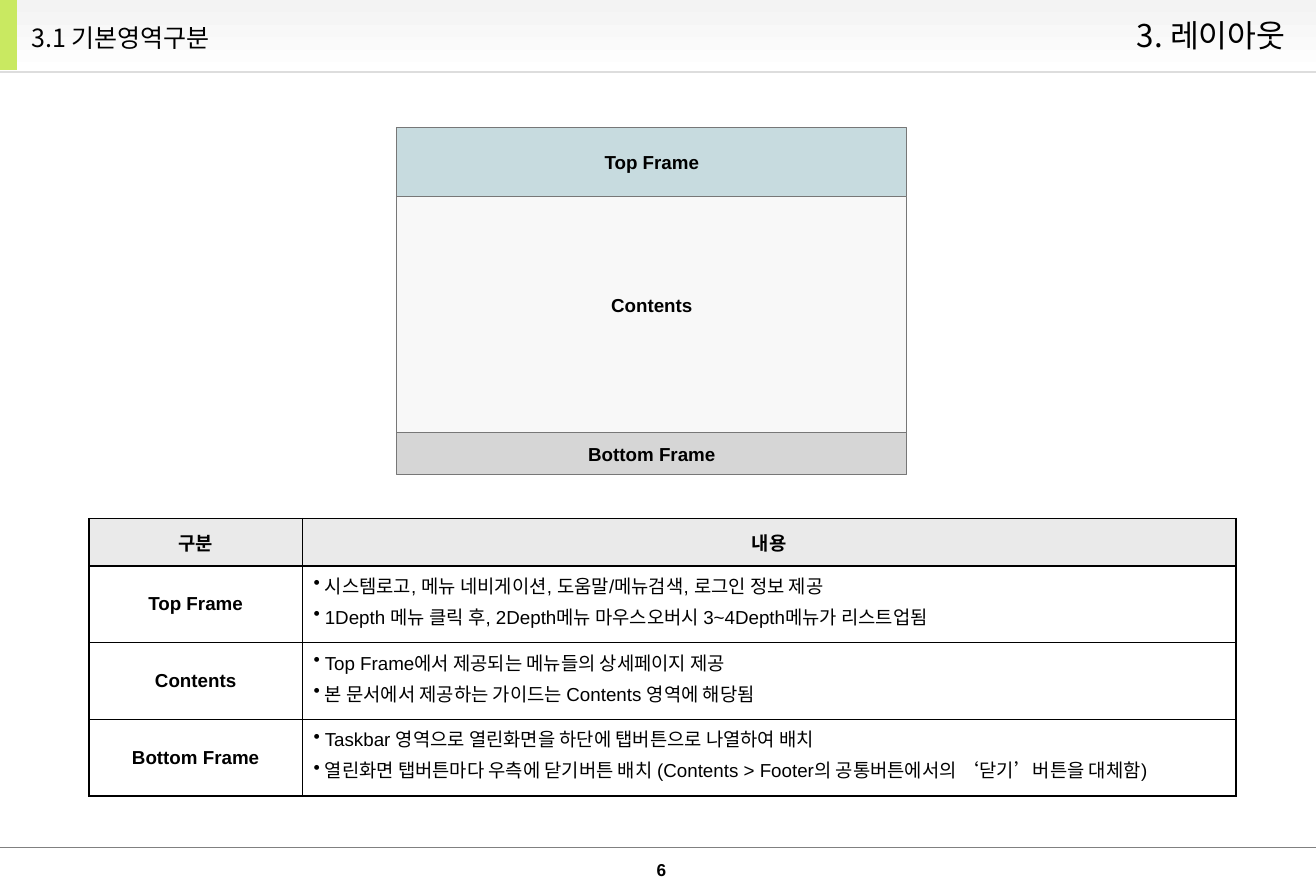
import pptx
import pptx.dml.color
import pptx.enum.shapes
import pptx.enum.text
import pptx.oxml
import pptx.oxml.ns
import pptx.util
from lxml import etree

Pt = pptx.util.Pt
Inches = pptx.util.Inches
RGBColor = pptx.dml.color.RGBColor
ALIGN = pptx.enum.text.PP_ALIGN
ANCHOR = pptx.enum.text.MSO_ANCHOR
RECTANGLE = pptx.enum.shapes.MSO_SHAPE.RECTANGLE
STRAIGHT = pptx.enum.shapes.MSO_CONNECTOR.STRAIGHT
qn = pptx.oxml.ns.qn

BLACK = RGBColor(0x00, 0x00, 0x00)
WHITE = RGBColor(0xFF, 0xFF, 0xFF)
HEADER_GRAY = RGBColor(0xF3, 0xF3, 0xF3)
RULE_GRAY = RGBColor(0xDD, 0xDD, 0xDD)
FOOTER_GRAY = RGBColor(0x80, 0x80, 0x80)
LIME = RGBColor(0xC9, 0xE9, 0x61)
FRAME_LINE = RGBColor(0x77, 0x77, 0x77)
TOP_BLUE = RGBColor(0x9D, 0xC0, 0xC7)
CONTENTS_GRAY = RGBColor(0xF8, 0xF8, 0xF8)
BOTTOM_GRAY = RGBColor(0xB8, 0xB8, 0xB8)
HEADING_FILL = RGBColor(0xEA, 0xEA, 0xEA)

LATIN = "Arial"
KOREAN = "Noto Sans CJK KR"
SLIDE_WIDTH, SLIDE_HEIGHT = 11.67, 7.92

# Name, height in grid rows, fill, opacity in percent, bottom inset in inches
FRAMES = [
    ("Top Frame", 7.7, TOP_BLUE, 57, 0.05),
    ("Contents", 26.5, CONTENTS_GRAY, 100, 0.22),
    ("Bottom Frame", 4.7, BOTTOM_GRAY, 57, 0.05),
]
HEADINGS = ["구분", "내용"]
DESCRIPTIONS = [
    ("Top Frame", ["시스템로고, 메뉴 네비게이션, 도움말/메뉴검색, 로그인 정보 제공",
                   "1Depth 메뉴 클릭 후, 2Depth메뉴 마우스오버시 3~4Depth메뉴가 리스트업됨"]),
    ("Contents", ["Top Frame에서 제공되는 메뉴들의 상세페이지 제공",
                  "본 문서에서 제공하는 가이드는 Contents 영역에 해당됨"]),
    ("Bottom Frame", ["Taskbar 영역으로 열린화면을 하단에 탭버튼으로 나열하여 배치",
                      "열린화면 탭버튼마다 우측에 닫기버튼 배치 (Contents > Footer의 "
                      "공통버튼에서의 ‘닫기’버튼을 대체함)"]),
]


def column(share):
    """Percent of the slide width."""
    return Inches(SLIDE_WIDTH * share / 100)


def row(share):
    """Percent of the slide height."""
    return Inches(SLIDE_HEIGHT * share / 100)


def place(left, top, width, height):
    return column(left), row(top), column(width), row(height)


def format_text(text_frame, size, bold=False, align=ALIGN.CENTER, latin=LATIN):
    for paragraph in text_frame.paragraphs:
        paragraph.alignment = align
        for run in paragraph.runs:
            run.font.size = Pt(size)
            run.font.bold = bold
            run.font.name = latin
            run.font.color.rgb = BLACK
            east_asian = etree.SubElement(run.font._element, qn("a:ea"))
            east_asian.set("typeface", KOREAN)


def add_bullet(paragraph):
    properties = paragraph._p.get_or_add_pPr()
    properties.set("marL", str(Inches(0.1)))
    properties.set("indent", str(-Inches(0.1)))
    etree.SubElement(properties, qn("a:buChar")).set("char", "•")


def add_rectangle(slide, box, color, opacity=100):
    shape = slide.shapes.add_shape(RECTANGLE, *box)
    shape.shadow.inherit = False
    shape.line.fill.background()
    shape.fill.solid()
    shape.fill.fore_color.rgb = color
    if opacity < 100:
        fill_color = shape._element.spPr.find(".//" + qn("a:srgbClr"))
        etree.SubElement(fill_color, qn("a:alpha")).set("val", str(opacity * 1000))
    return shape


def add_rule(slide, top, color, width):
    rule = slide.shapes.add_connector(STRAIGHT, 0, row(top), column(100), row(top))
    rule.line.color.rgb = color
    rule.line.width = Pt(width)
    etree.SubElement(rule._element.spPr, qn("a:effectLst"))


def add_label(slide, box, text, size, align, latin=KOREAN, bold=False, inset=0.11):
    text_frame = slide.shapes.add_textbox(*box).text_frame
    text_frame.word_wrap = inset > 0
    text_frame.margin_left = text_frame.margin_right = Inches(inset)
    text_frame.margin_top = text_frame.margin_bottom = Inches(inset / 2)
    text_frame.vertical_anchor = ANCHOR.MIDDLE
    text_frame.text = text
    format_text(text_frame, size, bold, align, latin)


def add_frames(slide):
    top = 14.27
    for name, height, color, opacity, bottom_inset in FRAMES:
        shape = add_rectangle(slide, place(30.16, top, 38.75, height), color, opacity)
        shape.line.color.rgb = FRAME_LINE
        shape.line.width = Pt(0.75)
        text_frame = shape.text_frame
        text_frame.margin_bottom = Inches(bottom_inset)
        text_frame.vertical_anchor = ANCHOR.MIDDLE
        text_frame.text = name
        format_text(text_frame, 12, bold=True)
        top += height


def style_cell(cell, color):
    properties = cell._tc.get_or_add_tcPr()
    for side in ("a:lnL", "a:lnR", "a:lnT", "a:lnB"):
        border = etree.SubElement(properties, qn(side), w=str(Pt(1)))
        fill = etree.SubElement(border, qn("a:solidFill"))
        etree.SubElement(fill, qn("a:srgbClr"), val=str(BLACK))
    cell.fill.solid()
    cell.fill.fore_color.rgb = color


def fill_cell(cell, lines, color=WHITE, bulleted=False):
    style_cell(cell, color)
    cell.vertical_anchor = ANCHOR.TOP if bulleted else ANCHOR.MIDDLE
    text_frame = cell.text_frame
    text_frame.text = "\n".join(lines)
    for paragraph in text_frame.paragraphs[1:]:
        paragraph.space_before = Pt(2.4)
    if bulleted:
        for paragraph in text_frame.paragraphs:
            add_bullet(paragraph)
    align = ALIGN.LEFT if bulleted else ALIGN.CENTER
    format_text(text_frame, 12, not bulleted, align)


def add_description_table(slide):
    box = place(6.77, 58.08, 87.15, 31)
    table = slide.shapes.add_table(len(DESCRIPTIONS) + 1, 2, *box).table
    table.first_row = table.horz_banding = False
    for table_column, width in zip(table.columns, (16.2, 70.95)):
        table_column.width = column(width)
    for index, table_row in enumerate(table.rows):
        table_row.height = row(8.59 if index else 5.3)
    for index, heading in enumerate(HEADINGS):
        fill_cell(table.cell(0, index), [heading], HEADING_FILL)
    for index, (name, details) in enumerate(DESCRIPTIONS, 1):
        fill_cell(table.cell(index, 0), [name])
        fill_cell(table.cell(index, 1), details, bulleted=True)


def add_header(slide):
    band = add_rectangle(slide, place(0, 0, 100, 8.33), WHITE)
    band.fill.gradient()
    band.fill.gradient_angle = 270
    for stop, color in zip(band.fill.gradient_stops, (HEADER_GRAY, WHITE)):
        stop.color.rgb = color
    add_rule(slide, 8.08, RULE_GRAY, 1.5)
    add_rectangle(slide, place(0, 0, 1.29, 7.83), LIME)
    add_label(slide, place(50.04, 0, 48.59, 7.83), "3. 레이아웃", 20, ALIGN.RIGHT)
    add_label(slide, place(1.46, 1.39, 27.5, 5.68), "3.1 기본영역구분", 16, ALIGN.LEFT)


def add_footer(slide):
    add_rule(slide, 94.95, FOOTER_GRAY, 0.75)
    add_label(slide, place(49.44, 96.34, 1.63, 2.15), "6", 11, ALIGN.CENTER,
              LATIN, bold=True, inset=0)


def main():
    presentation = pptx.Presentation()
    presentation.slide_width = column(100)
    presentation.slide_height = row(100)
    slide = presentation.slides.add_slide(presentation.slide_layouts[6])
    add_header(slide)
    add_frames(slide)
    add_description_table(slide)
    add_footer(slide)
    presentation.save("out.pptx")


if __name__ == "__main__":
    main()
